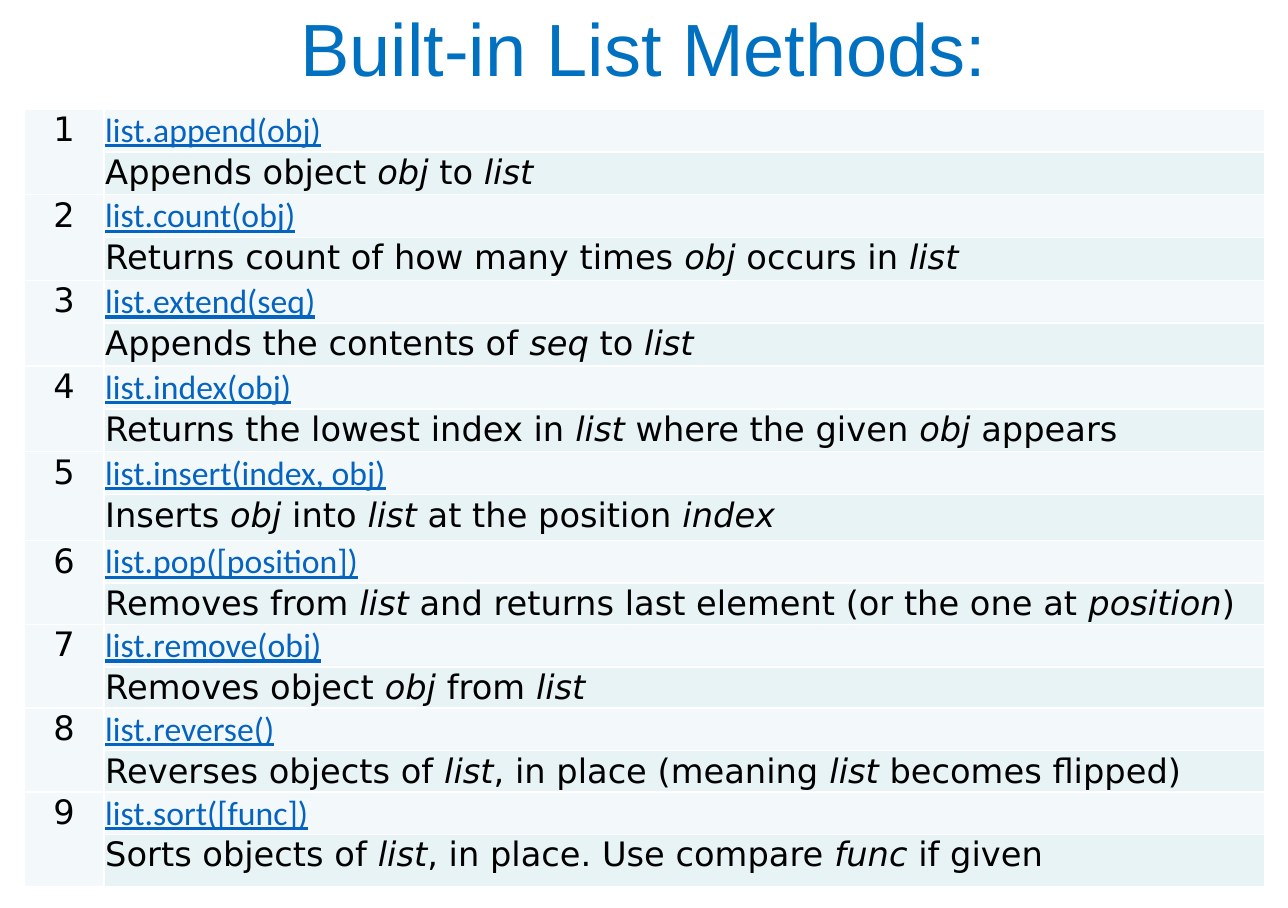
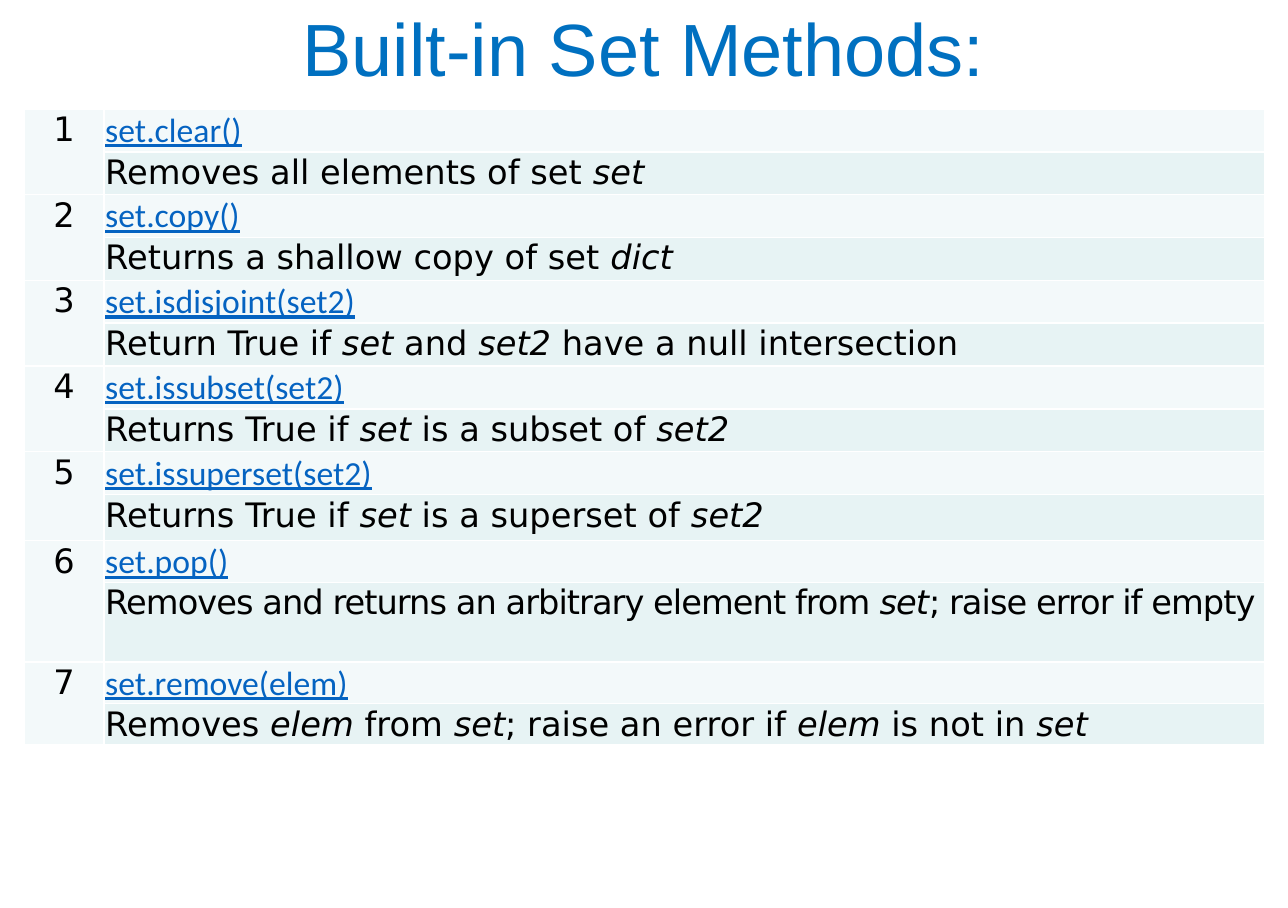
from dataclasses import dataclass
from typing import Any

from lxml import etree
from pptx import Presentation
from pptx import util as u
from pptx.dml.color import RGBColor
from pptx.enum import text
from pptx.oxml.ns import qn

BLACK, WHITE = "000000", "FFFFFF"
TITLE_BLUE, LINK_BLUE = "0070C0", "0563C1"
NAME_FILL, DESCRIPTION_FILL = "F3F9FA", "E7F3F4"

TITLE_FONT = {"name": "Arial", "size": u.Pt(44)}
BODY_FONT = {"name": "DejaVu Sans", "size": u.Pt(20)}
LINK_FONT = {"name": "Calibri", "size": u.Pt(20), "underline": True}

NUMBER_MARGINS = {"margin_left": 0, "margin_top": u.Pt(0.72),
                  "margin_right": 0, "margin_bottom": 0}
TEXT_MARGINS = {**NUMBER_MARGINS, "margin_left": u.Pt(0.72),
                "margin_right": u.Pt(0.72)}

COLUMN_WIDTHS = (47.5, 690.5)
ROOMY_ROW, FIFTH_ROW, TIGHT_ROW = 25.5, 27.4, 24.6


@dataclass(frozen=True)
class Method:
    name: str
    description: str
    spacing: float = 0
    description_height: float = 0


@dataclass(frozen=True)
class MethodSlide:
    title: str
    methods: tuple[Method, ...]


SLIDES = (
    MethodSlide("Built-in List Methods:", (
        Method("list.append(obj)", "Appends object *obj *to *list*"),
        Method("list.count(obj)",
               "Returns count of how many times *obj* occurs in *list*"),
        Method("list.extend(seq)", "Appends the contents of *seq* to *list*"),
        Method("list.index(obj)",
               "Returns the lowest index in *list* where the given *obj* appears"),
        Method("list.insert(index, obj)",
               "Inserts *obj* into *list* at the position *index*"),
        Method("list.pop([position])",
               "Removes from *list *and returns last element "
               "(or the one at *position*)"),
        Method("list.remove(obj)", "Removes object *obj* from *list*"),
        Method("list.reverse()",
               "Reverses objects of *list*, in place (meaning *list* becomes flipped)"),
        Method("list.sort([func])",
               "Sorts objects of *list*, in place. Use compare *func* if given",
               description_height=31),
    )),
    MethodSlide("Built-in Set Methods:", (
        Method("set.clear()", "Removes all elements of set *set*"),
        Method("set.copy()", "Returns a shallow copy of set *dict*"),
        Method("set.isdisjoint(set2)",
               "Return True if *set* and *set2* have a null intersection"),
        Method("set.issubset(set2)", "Returns True if *set* is a subset of *set2*"),
        Method("set.issuperset(set2)",
               "Returns True if *set* is a superset of *set2*"),
        Method("set.pop()",
               "Removes and returns an arbitrary element from *set*; "
               "raise error if empty",
               spacing=-0.6, description_height=47.4),
        Method("set.remove(elem)",
               "Removes *elem* from *set*; raise an error if *elem* is not in *set*"),
    )),
)


def color(value: str) -> RGBColor:
    return RGBColor.from_string(value)


def apply(target: Any, values: dict[str, Any]) -> None:
    for name, value in values.items():
        setattr(target, name, value)


def write(paragraph: Any, content: str, font: dict[str, Any], ink: str,
          spacing: float = 0) -> None:
    for index, part in enumerate(content.split("*")):
        if not part:
            continue
        run = paragraph.add_run()
        run.text = part
        apply(run.font, font)
        run.font.color.rgb = color(ink)
        if index % 2:
            run.font.italic = True
        if spacing:
            run._r.get_or_add_rPr().set("spc", str(round(spacing * 100)))


def style_cell(cell: Any, fill: str, margins: dict[str, Any]) -> None:
    properties = cell._tc.get_or_add_tcPr()
    for side in ("lnL", "lnR", "lnT", "lnB"):
        line = etree.SubElement(properties, qn(f"a:{side}"), w=str(u.Pt(1)))
        solid = etree.SubElement(line, qn("a:solidFill"))
        etree.SubElement(solid, qn("a:srgbClr"), val=WHITE)
    cell.fill.solid()
    cell.fill.fore_color.rgb = color(fill)
    apply(cell, margins)


def row_heights(methods: tuple[Method, ...]) -> list[float]:
    heights: list[float] = []
    for number, method in enumerate(methods, 1):
        name_height = ROOMY_ROW if number <= 5 else TIGHT_ROW
        usual = FIFTH_ROW if number == 5 else name_height
        heights += [name_height, method.description_height or usual]
    return heights


def add_methods(slide: Any, methods: tuple[Method, ...]) -> None:
    heights = row_heights(methods)
    table = slide.shapes.add_table(
        len(heights), len(COLUMN_WIDTHS), u.Pt(14.4), u.Pt(64.8),
        u.Pt(sum(COLUMN_WIDTHS)), u.Pt(sum(heights))).table
    apply(table, {"first_row": False, "horz_banding": False})
    for column, width in zip(table.columns, COLUMN_WIDTHS):
        column.width = u.Pt(width)
    for row, height in zip(table.rows, heights):
        row.height = u.Pt(height)

    for index, method in enumerate(methods):
        top, bottom = 2 * index, 2 * index + 1
        number, covered = table.cell(top, 0), table.cell(bottom, 0)
        name, description = table.cell(top, 1), table.cell(bottom, 1)
        number.merge(covered)
        for cell in (number, covered):
            style_cell(cell, NAME_FILL, NUMBER_MARGINS)
        style_cell(name, NAME_FILL, TEXT_MARGINS)
        style_cell(description, DESCRIPTION_FILL, TEXT_MARGINS)
        paragraph = number.text_frame.paragraphs[0]
        paragraph.alignment = text.PP_ALIGN.CENTER
        write(paragraph, str(index + 1), BODY_FONT, BLACK)
        write(name.text_frame.paragraphs[0], method.name, LINK_FONT, LINK_BLUE)
        write(description.text_frame.paragraphs[0], method.description,
              BODY_FONT, BLACK, method.spacing)


def add_title(slide: Any, title: str) -> None:
    shape = slide.shapes.add_textbox(u.Pt(5), u.Pt(0), u.Pt(756), u.Pt(62.6))
    frame = shape.text_frame
    apply(frame, {"word_wrap": True, "vertical_anchor": text.MSO_ANCHOR.MIDDLE})
    paragraph = frame.paragraphs[0]
    apply(paragraph, {"alignment": text.PP_ALIGN.CENTER, "line_spacing": 0.9})
    write(paragraph, title, TITLE_FONT, TITLE_BLUE)


def main() -> None:
    presentation = Presentation()
    apply(presentation, {"slide_width": u.Pt(766), "slide_height": u.Pt(540)})
    for content in SLIDES:
        slide = presentation.slides.add_slide(presentation.slide_layouts[6])
        add_methods(slide, content.methods)
        add_title(slide, content.title)
    presentation.save("out.pptx")


if __name__ == "__main__":
    main()
